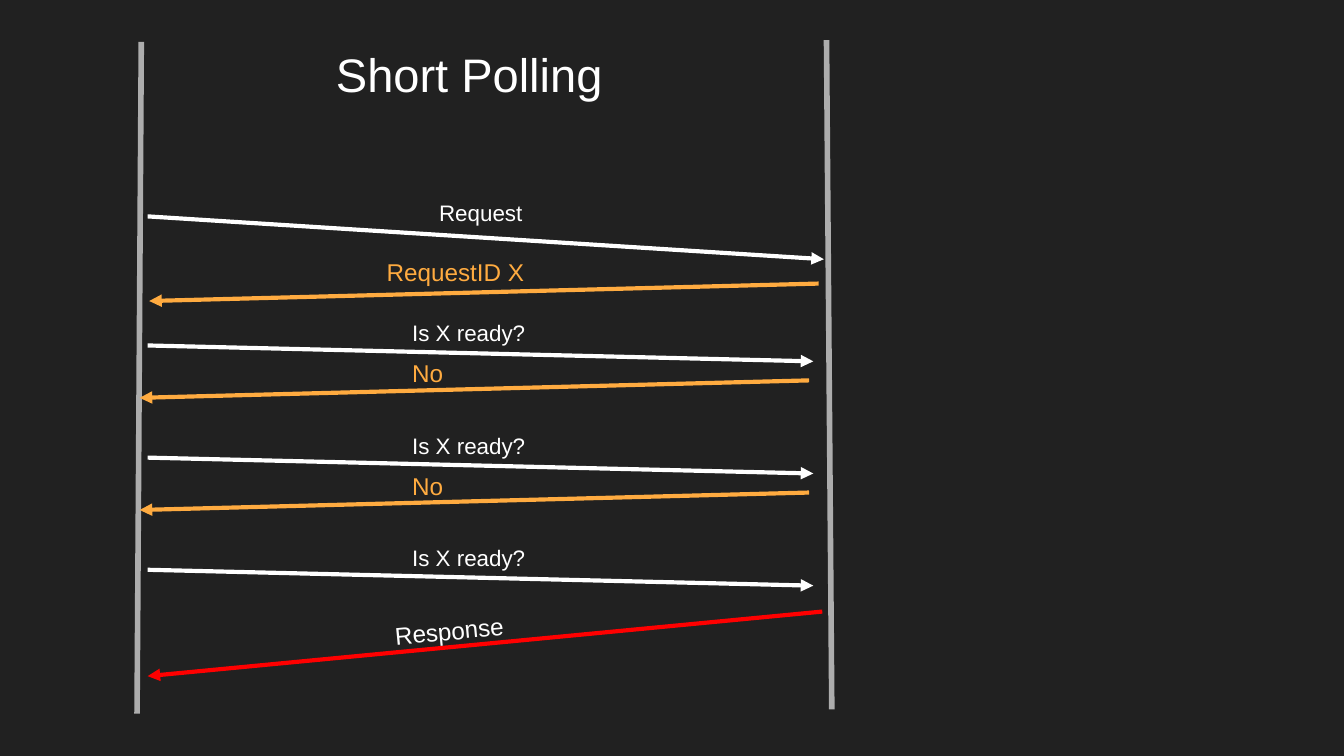
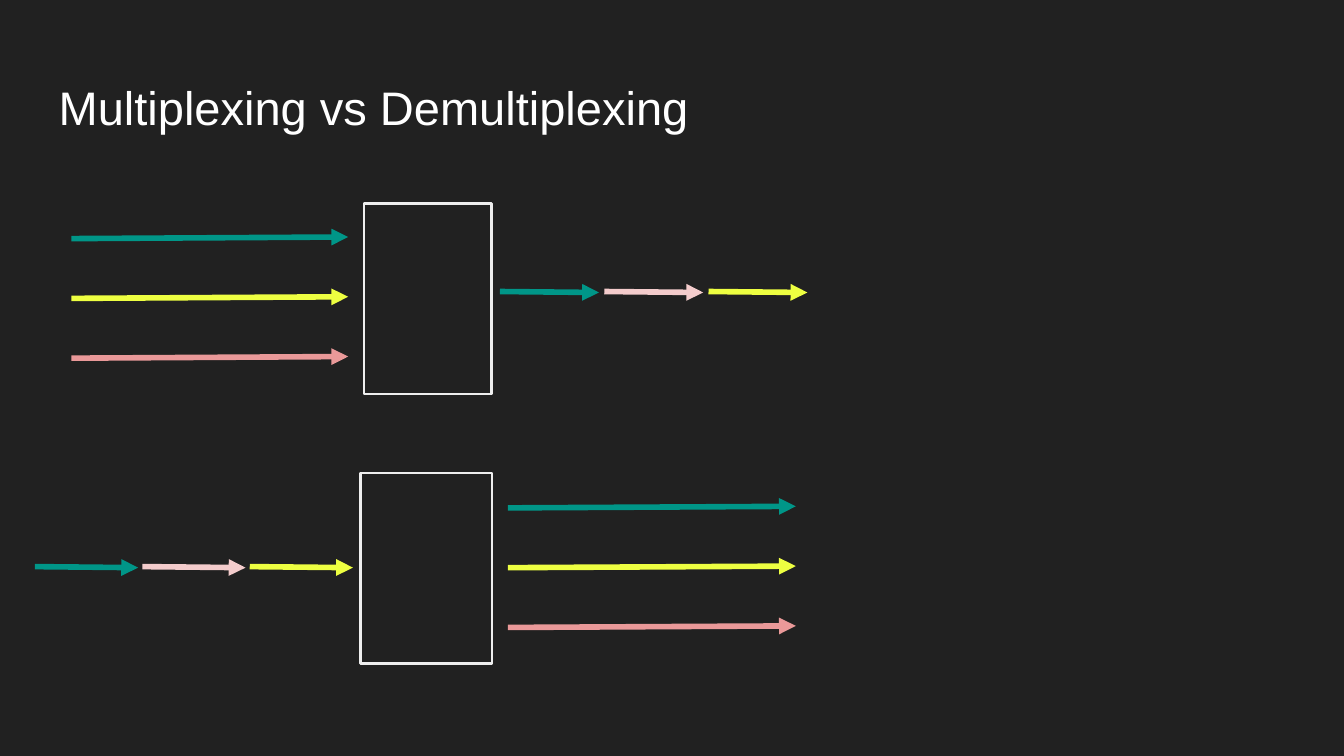
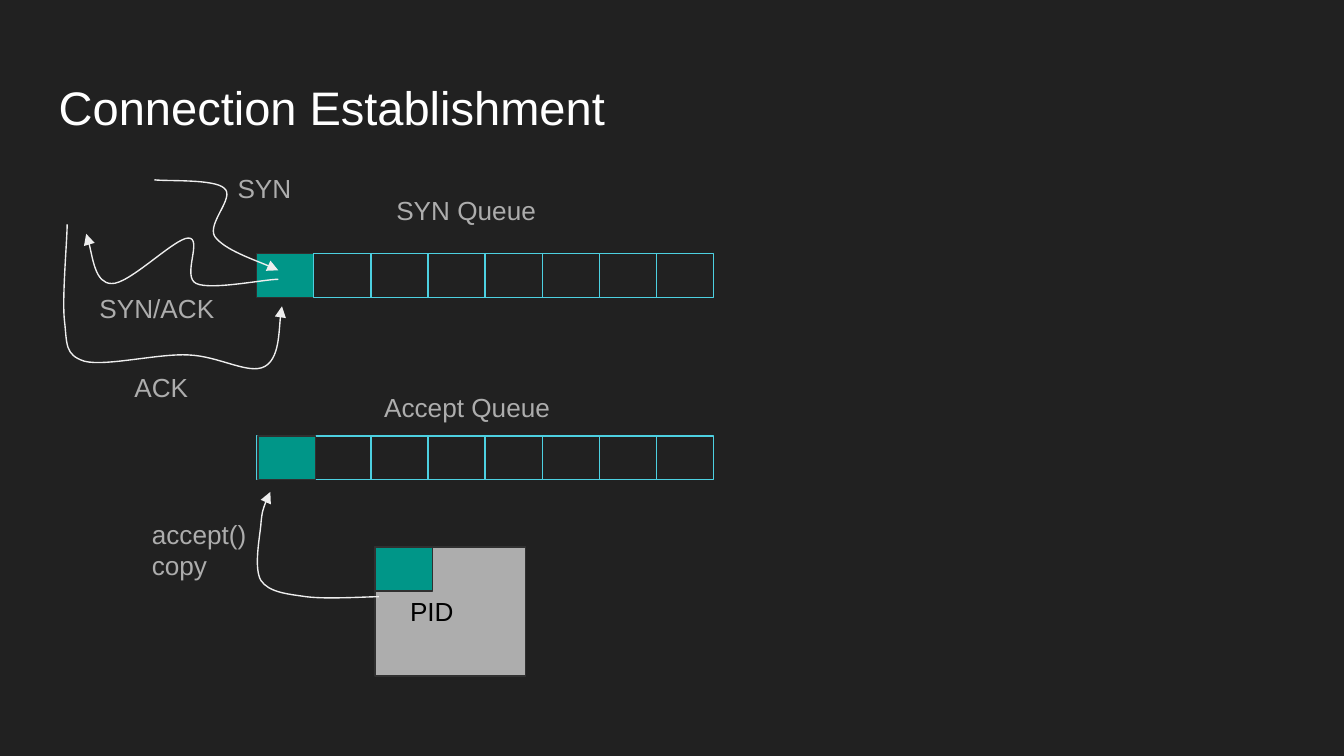
from lxml import etree
from pptx import Presentation
from pptx.dml.color import RGBColor
from pptx.enum.shapes import MSO_CONNECTOR, MSO_SHAPE
from pptx.enum.text import MSO_ANCHOR, PP_ALIGN
from pptx.oxml.ns import qn
from pptx.util import Cm, Pt

STRAIGHT = MSO_CONNECTOR.STRAIGHT
RECT = MSO_SHAPE.RECTANGLE
LEFT = PP_ALIGN.LEFT
TOP, MIDDLE = MSO_ANCHOR.TOP, MSO_ANCHOR.MIDDLE

FONT = "Arial"
BACKGROUND = "212121"
WHITE, BLACK, GREY, PALE = "FFFFFF", "000000", "ADADAD", "EEEEEE"
ORANGE, RED = "FFAB40", "FF0000"
TEAL, YELLOW, SALMON, PINK = "009688", "EEFF41", "EA9999", "F4CCCC"
CYAN, EDGE = "4DD0E1", "303030"

INSET = 0.25
CELL_W, CELL_H = 1.08, 0.83
QUEUE_X, QUEUE_CELLS = 4.85, 8


def rgb(color):
    return RGBColor.from_string(color)


def add_slide(prs):
    s = prs.slides.add_slide(prs.slide_layouts[6])
    s.background.fill.solid()
    s.background.fill.fore_color.rgb = rgb(BACKGROUND)
    return s


def write(sp, lines, size, color, anchor=TOP, left=INSET):
    """Fill a shape with one left-aligned paragraph per line."""
    tf = sp.text_frame
    tf.word_wrap = True
    tf.vertical_anchor = anchor
    tf.margin_left = Cm(left)
    tf.margin_right = tf.margin_top = tf.margin_bottom = Cm(INSET)
    for i, line in enumerate(lines):
        p = tf.add_paragraph() if i else tf.paragraphs[0]
        p.alignment = LEFT
        r = p.add_run()
        r.text = line
        r.font.name = FONT
        r.font.size = Pt(size)
        r.font.color.rgb = rgb(color)


def add_label(s, x, y, w, h, lines, size, color, rotation=0):
    sp = s.shapes.add_textbox(Cm(x), Cm(y), Cm(w), Cm(h))
    sp.rotation = rotation
    write(sp, lines, size, color)


def add_title(s, text, x=0.86, y=1.24, w=12.4):
    add_label(s, x, y, w, 1.6, [text], 25.2, WHITE)


def set_line(sp, color, width, arrow=False):
    sp.line.color.rgb = rgb(color)
    sp.line.width = Pt(width)
    if arrow:
        ln = sp._element.xpath(".//a:ln")[0]
        etree.SubElement(ln, qn("a:tailEnd"), type="triangle")


def add_line(s, x1, y1, x2, y2, color, width, arrow=True):
    cx = s.shapes.add_connector(STRAIGHT, Cm(x1), Cm(y1), Cm(x2), Cm(y2))
    set_line(cx, color, width, arrow)
    etree.SubElement(cx._element.spPr, qn("a:effectLst"))


def add_box(s, x, y, w, h, line, width=0.75, fill=None):
    sp = s.shapes.add_shape(RECT, Cm(x), Cm(y), Cm(w), Cm(h))
    sp.shadow.inherit = False
    if fill:
        sp.fill.solid()
        sp.fill.fore_color.rgb = rgb(fill)
    else:
        sp.fill.background()
    set_line(sp, line, width)
    return sp


def add_curve(s, points):
    """Draw an arrow of cubic Béziers: a start, then three points a segment."""
    pts = [(Cm(x), Cm(y)) for x, y in points]
    fb = s.shapes.build_freeform(*pts[0])
    fb.add_line_segments(pts[1:], close=False)
    sp = fb.convert_to_shape()
    outline = sp._element.xpath(".//a:path")[0]
    steps = outline.findall(qn("a:lnTo"))
    for i in range(0, len(steps), 3):
        bezier = etree.SubElement(outline, qn("a:cubicBezTo"))
        for step in steps[i:i + 3]:
            bezier.append(step[0])
            outline.remove(step)
    sp.shadow.inherit = False
    sp.fill.background()
    set_line(sp, PALE, 0.75, arrow=True)


def add_streams(s, x1, x2, y):
    """Three parallel long arrows."""
    for i, color in enumerate((TEAL, YELLOW, SALMON)):
        row = y + i * 1.13
        add_line(s, x1, row, x2, row - 0.03, color, 3)


def add_packets(s, x, y, step, length):
    """Three short arrows in a row."""
    for i, color in enumerate((TEAL, PINK, YELLOW)):
        start = x + i * step
        add_line(s, start, y, start + length, y + 0.02, color, 3)


def add_filled_cell(s, x, y):
    add_box(s, x, y, CELL_W, CELL_H, EDGE, fill=TEAL)


def add_queue(s, y, first):
    """A row of cells from number first on."""
    for i in range(first, QUEUE_CELLS):
        add_box(s, QUEUE_X + i * CELL_W, y, CELL_W, CELL_H, CYAN)


def short_polling(prs):
    s = add_slide(prs)
    add_line(s, 15.62, 0.76, 15.72, 13.41, GREY, 3, arrow=False)
    add_line(s, 2.67, 0.79, 2.59, 13.49, GREY, 3, arrow=False)
    add_title(s, "Short Polling", 6.1, 0.61, 5.74)

    add_line(s, 2.79, 4.09, 15.57, 4.9, WHITE, 2.25)
    add_label(s, 8.05, 3.51, 2.87, 1, ["Request"], 12, WHITE)
    add_line(s, 15.47, 5.36, 2.82, 5.69, ORANGE, 2.25)
    add_label(s, 7.06, 4.62, 3.2, 1.07, ["RequestID X"], 13, ORANGE)

    polls = 3
    for i in range(polls):
        y = 6.53 + i * 2.12
        add_line(s, 2.79, y, 15.37, y + 0.3, WHITE, 2.25)
        add_label(s, 7.54, y - 0.74, 2.87, 1, ["Is X ready?"], 12, WHITE)
        if i < polls - 1:
            add_line(s, 15.29, y + 0.66, 2.64, y + 0.99, ORANGE, 2.25)
            add_label(s, 7.54, y, 3.2, 1.07, ["No"], 13, ORANGE)

    add_line(s, 15.54, 11.56, 2.79, 12.78, RED, 2.25)
    add_label(s, 7.21, 11.38, 2.87, 1.07, ["Response"], 13, WHITE, -5.5)


def multiplexing(prs):
    s = add_slide(prs)
    add_title(s, "Multiplexing vs Demultiplexing", w=23.67)
    add_streams(s, 1.35, 6.58, 4.51)
    add_box(s, 6.88, 3.84, 2.41, 3.61, PALE, 1.5)
    add_packets(s, 9.45, 5.51, 1.97, 1.87)

    add_packets(s, 0.66, 10.71, 2.03, 1.95)
    add_box(s, 6.81, 8.94, 2.49, 3.61, PALE, 1.5)
    add_streams(s, 9.6, 15.04, 9.6)


def connection_establishment(prs):
    s = add_slide(prs)
    add_title(s, "Connection Establishment")
    syn_y, accept_y = 4.79, 8.24
    add_filled_cell(s, QUEUE_X, syn_y)
    add_queue(s, syn_y, first=1)
    add_queue(s, accept_y, first=0)
    add_filled_cell(s, QUEUE_X + 0.03, accept_y)

    process = add_box(s, 7.09, 10.34, 2.84, 2.44, EDGE, fill=GREY)
    write(process, ["PID"], 14, BLACK, MIDDLE, left=0.66)

    labels = [
        (7.24, 3.43, 3.51, 1.12, ["SYN Queue"]),
        (7.01, 7.14, 4.72, 1.12, ["Accept Queue"]),
        (4.24, 3, 1.63, 1.12, ["SYN"]),
        (1.63, 5.28, 2.97, 1.12, ["SYN/ACK"]),
        (2.29, 6.78, 1.63, 1.12, ["ACK"]),
        (2.62, 9.55, 2.57, 1.7, ["accept()", "copy"]),
    ]
    for label in labels:
        add_label(s, *label, 14, GREY)

    syn = [(2.92, 3.4),
           (3.15, 3.43), (4.06, 3.38), (4.24, 3.56),
           (4.45, 3.73), (3.91, 4.22), (4.06, 4.47),
           (4.24, 4.72), (5.05, 5), (5.26, 5.11)]
    syn_ack = [(5.26, 5.28),
               (5, 5.28), (3.99, 5.49), (3.71, 5.36),
               (3.43, 5.23), (3.84, 4.5), (3.56, 4.5),
               (3.3, 4.5), (2.44, 5.38), (2.11, 5.36),
               (1.8, 5.36), (1.7, 4.57), (1.63, 4.42)]
    ack = [(1.27, 4.24),
           (1.27, 4.55), (1.17, 5.64), (1.22, 6.07),
           (1.27, 6.5), (1.22, 6.71), (1.6, 6.83),
           (2.01, 6.93), (3, 6.68), (3.56, 6.71),
           (4.14, 6.73), (4.7, 7.09), (5, 6.93),
           (5.28, 6.78), (5.28, 5.99), (5.33, 5.79)]
    accept = [(7.16, 11.28),
              (6.93, 11.28), (6.17, 11.33), (5.79, 11.28),
              (5.44, 11.23), (5.08, 11.2), (4.93, 10.97),
              (4.8, 10.74), (4.9, 10.21), (4.93, 9.93),
              (4.95, 9.65), (5.05, 9.4), (5.11, 9.3)]
    for points in (syn, syn_ack, ack, accept):
        add_curve(s, points)
    add_filled_cell(s, 7.09, 10.34)


def main():
    prs = Presentation()
    prs.slide_width, prs.slide_height = Cm(25.4), Cm(14.29)
    short_polling(prs)
    multiplexing(prs)
    connection_establishment(prs)
    prs.save("out.pptx")


if __name__ == "__main__":
    main()
